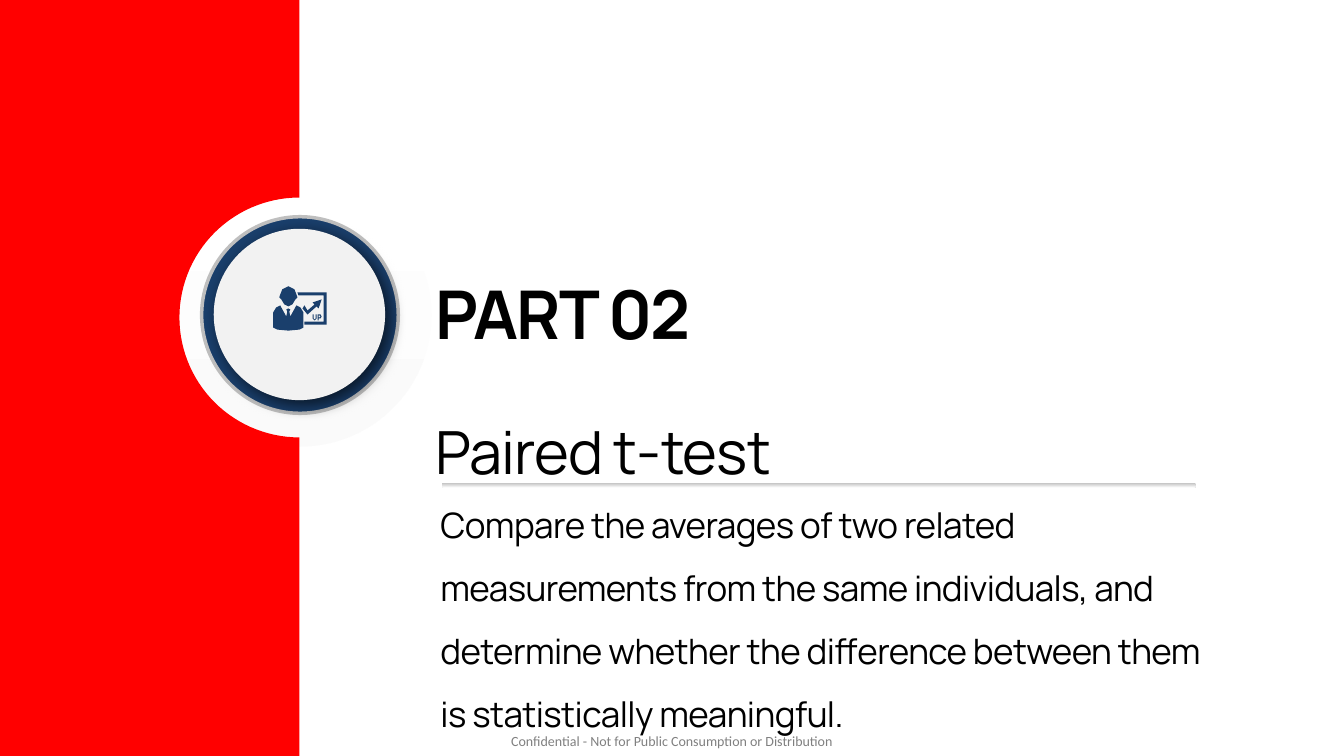
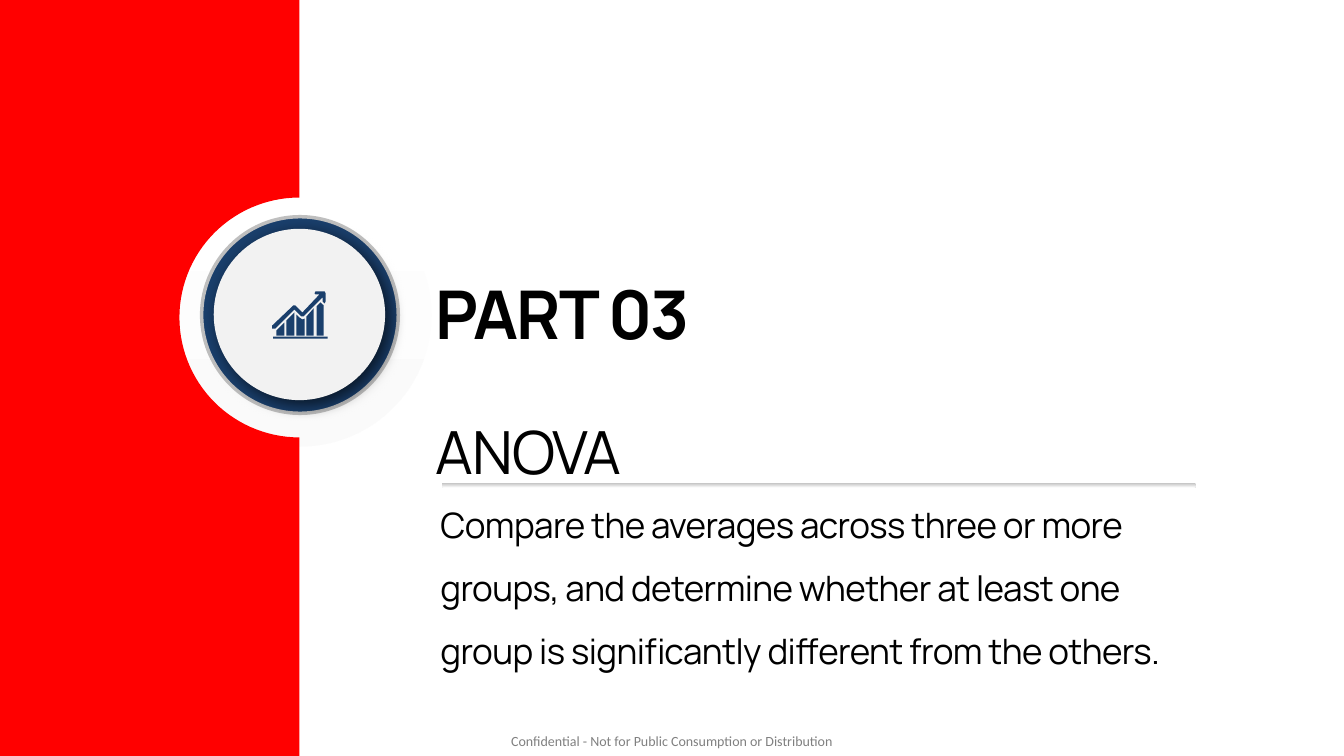
import math

from lxml import etree
from pptx import Presentation
from pptx import util as u
from pptx.dml.color import RGBColor
from pptx.enum import shapes, text
from pptx.oxml import ns

PX = 9144
SLIDE_WIDTH, SLIDE_HEIGHT = 1333, 750

RED = RGBColor(0xFF, 0x00, 0x00)
NAVY = RGBColor(0x1A, 0x3F, 0x6C)
PALE = RGBColor(0xF2, 0xF2, 0xF2)
SILVER = RGBColor(0xBF, 0xBF, 0xBF)
NEAR_WHITE = RGBColor(0xFA, 0xFA, 0xFA)
WHITE = RGBColor(0xFF, 0xFF, 0xFF)
BLACK = RGBColor(0x00, 0x00, 0x00)
GREY = RGBColor(0x80, 0x80, 0x80)

FOOTER = "Confidential - Not for Public Consumption or Distribution"

BAND_RIGHT = 297
BADGE_CENTER_Y = 315
NOTCH_RADIUS = 119
HALO = (167, 182, 261, 261)
RING = (200, 215, 195, 195)
DISC = (212, 227, 170, 170)
DIVIDER = (438, 479, 748, 5)

FOOTER_STYLE = dict(font="Calibri", size=10, color=GREY, spacing=1.06)
PART_STYLE = dict(font="Manrope", size=48, bold=True, tracking=-120, spacing=1.06)
TITLE_STYLE = dict(font="Manrope", size=42.5, tracking=-60, spacing=1.06)
BODY_STYLE = dict(font="Manrope", size=25, tracking=-40, spacing=1.5)

BOARD = [(295, 290), (296, 293), (321, 293), (321, 319), (302, 319), (302, 322),
         (324, 322), (324, 290)]
HEAD = [(279, 297), (282, 302), (286, 304), (290, 302), (293, 297), (295, 295),
        (294, 292), (292, 287), (286, 284), (280, 287), (278, 292), (277, 295)]
ARROW = [(302, 303), (300, 306), (305, 312), (314, 304), (316, 306), (319, 297),
         (310, 300), (312, 302), (305, 308)]
TORSO = [(294, 303), (288, 314), (287, 309), (288, 307), (286, 306), (284, 307),
         (285, 309), (284, 314), (278, 303), (274, 305), (271, 310), (271, 325),
         (275, 327), (286, 328), (297, 327), (301, 325), (301, 310), (298, 305)]
LETTER_U = [(310, 312), (310, 316), (312, 318), (314, 316), (314, 312), (313, 312),
            (313, 316), (312, 317), (311, 316), (311, 312)]
LETTER_P = [(315, 312), (315, 318), (316, 318), (316, 316), (318, 316), (319, 314),
            (318, 312)]
LETTER_P_HOLE = [(316, 313), (316, 315), (317, 315), (318, 314), (317, 313)]

BAR_BOTTOM = 333
BAR_TOPS = [
    [(274, 328), (282, 320)],
    [(284, 318), (292, 310)],
    [(294, 312), (297, 315), (300, 317), (302, 316)],
    [(304, 314), (311, 306)],
    [(314, 304), (318, 300), (321, 303)],
]
TREND = [(273, 326), (292, 307), (299, 314), (301, 314), (320, 295), (320, 299),
         (322, 301), (323, 299), (323, 291), (322, 289), (313, 289), (312, 291),
         (313, 292), (317, 292), (300, 310), (293, 303), (291, 303), (270, 323),
         (270, 326)]
BARS = [[(top[0][0], BAR_BOTTOM), *top, (top[-1][0], BAR_BOTTOM)] for top in BAR_TOPS]

PRESENTER_ICON = dict(
    outlines=[[BOARD], [HEAD], [ARROW], [TORSO], [LETTER_U], [LETTER_P, LETTER_P_HOLE]],
    rectangles=[])
GROWTH_ICON = dict(
    outlines=[[bar] for bar in BARS] + [[TREND]],
    rectangles=[(271, 334, 54, 2)])

SECTIONS = [
    dict(part="PART 02", title="Paired t-test", icon=PRESENTER_ICON, body_height=255,
         body="Compare the averages of two related measurements from the same "
              "individuals, and determine whether the difference between them is "
              "statistically meaningful."),
    dict(part="PART 03", title="ANOVA", icon=GROWTH_ICON, body_height=192,
         body="Compare the averages across three or more groups, and determine whether "
              "at least one group is significantly different from the others."),
]


def emu(lengths):
    return [u.Emu(round(length * PX)) for length in lengths]


def paint(shape, color):
    shape.shadow.inherit = False
    shape.fill.solid()
    shape.fill.fore_color.rgb = color
    shape.line.fill.background()


def paint_gradient(shape, top_color, bottom_color):
    paint(shape, top_color)
    shape.fill.gradient()
    shape.fill.gradient_angle = 270
    for stop, color in zip(shape.fill.gradient_stops, (top_color, bottom_color)):
        stop.color.rgb = color


def add_shadow(shape, color, opacity, blur, distance, angle):
    effects = shape._element.spPr.find(ns.qn("a:effectLst"))
    shadow = etree.SubElement(
        effects, ns.qn("a:outerShdw"), blurRad=str(u.Pt(blur)), dist=str(u.Pt(distance)),
        dir=str(angle * 60000), algn="tl", rotWithShape="0")
    tint = etree.SubElement(shadow, ns.qn("a:srgbClr"), val=str(color))
    etree.SubElement(tint, ns.qn("a:alpha"), val=str(opacity * 1000))


def add_outline(parent, contours, color):
    first, *others = [[emu(point) for point in contour] for contour in contours]
    builder = parent.build_freeform(*first[0], scale=1.0)
    builder.add_line_segments(first[1:], close=True)
    for contour in others:
        builder.move_to(*contour[0])
        builder.add_line_segments(contour[1:], close=True)
    paint(builder.convert_to_shape(), color)


def write(shape, content, font, size, spacing, color=BLACK, bold=False, tracking=0, inset=None):
    frame = shape.text_frame
    frame.word_wrap = True
    frame.auto_size = text.MSO_AUTO_SIZE.SHAPE_TO_FIT_TEXT
    frame.vertical_anchor = text.MSO_ANCHOR.TOP
    if inset is not None:
        frame.margin_left = frame.margin_right = inset
        frame.margin_top = frame.margin_bottom = inset
    paragraph = frame.paragraphs[0]
    paragraph.alignment = text.PP_ALIGN.LEFT
    paragraph.line_spacing = spacing
    paragraph.space_before = u.Pt(0)
    paragraph.space_after = u.Pt(5)
    run = paragraph.add_run()
    run.text = content
    run.font.name = font
    run.font.size = u.Pt(size)
    run.font.bold = bold
    run.font.color.rgb = color
    if tracking:
        run._r.get_or_add_rPr().set("spc", str(tracking))


def add_text(slide, box, content, **style):
    write(slide.shapes.add_textbox(*emu(box)), content, **style)


def add_badge(slide):
    group = slide.shapes.add_group_shape().shapes
    halo, ring, disc = [group.add_shape(shapes.MSO_SHAPE.OVAL, *emu(box))
                        for box in (HALO, RING, DISC)]
    paint_gradient(halo, WHITE, NEAR_WHITE)
    paint(ring, NAVY)
    ring.line.color.rgb = SILVER
    ring.line.width = u.Pt(2.5)
    paint(disc, PALE)
    add_shadow(disc, BLACK, opacity=64, blur=12, distance=5, angle=45)


def add_band(slide):
    notch = [(BAND_RIGHT - NOTCH_RADIUS * math.sin(math.radians(angle)),
              BADGE_CENTER_Y - NOTCH_RADIUS * math.cos(math.radians(angle)))
             for angle in range(0, 181, 3)]
    band = [(0, 0), (BAND_RIGHT, 0), *notch, (BAND_RIGHT, SLIDE_HEIGHT), (0, SLIDE_HEIGHT)]
    add_outline(slide.shapes, [band], RED)


def add_divider(slide):
    divider = slide.shapes.add_shape(shapes.MSO_SHAPE.ROUNDED_RECTANGLE, *emu(DIVIDER))
    divider.adjustments[0] = 0.5
    paint_gradient(divider, SILVER, WHITE)


def add_icon(slide, icon):
    group = slide.shapes.add_group_shape().shapes
    for box in icon["rectangles"]:
        paint(group.add_shape(shapes.MSO_SHAPE.RECTANGLE, *emu(box)), NAVY)
    for contours in icon["outlines"]:
        add_outline(group, contours, NAVY)


def add_section(presentation, section):
    slide = presentation.slides.add_slide(presentation.slide_layouts[5])
    add_text(slide, (507, 726, 323, 17), FOOTER, inset=0, **FOOTER_STYLE)
    add_badge(slide)
    add_band(slide)
    add_divider(slide)
    add_text(slide, (422, 260, 525, 91), section["part"], **PART_STYLE)
    title = slide.shapes.title
    title.left, title.top, title.width, title.height = emu((422, 403, 689, 82))
    write(title, section["title"], **TITLE_STYLE)
    add_text(slide, (427, 474, 788, section["body_height"]), section["body"], **BODY_STYLE)
    add_icon(slide, section["icon"])


def main():
    presentation = Presentation()
    presentation.slide_width, presentation.slide_height = emu((SLIDE_WIDTH, SLIDE_HEIGHT))
    for section in SECTIONS:
        add_section(presentation, section)
    presentation.save("out.pptx")


if __name__ == "__main__":
    main()
